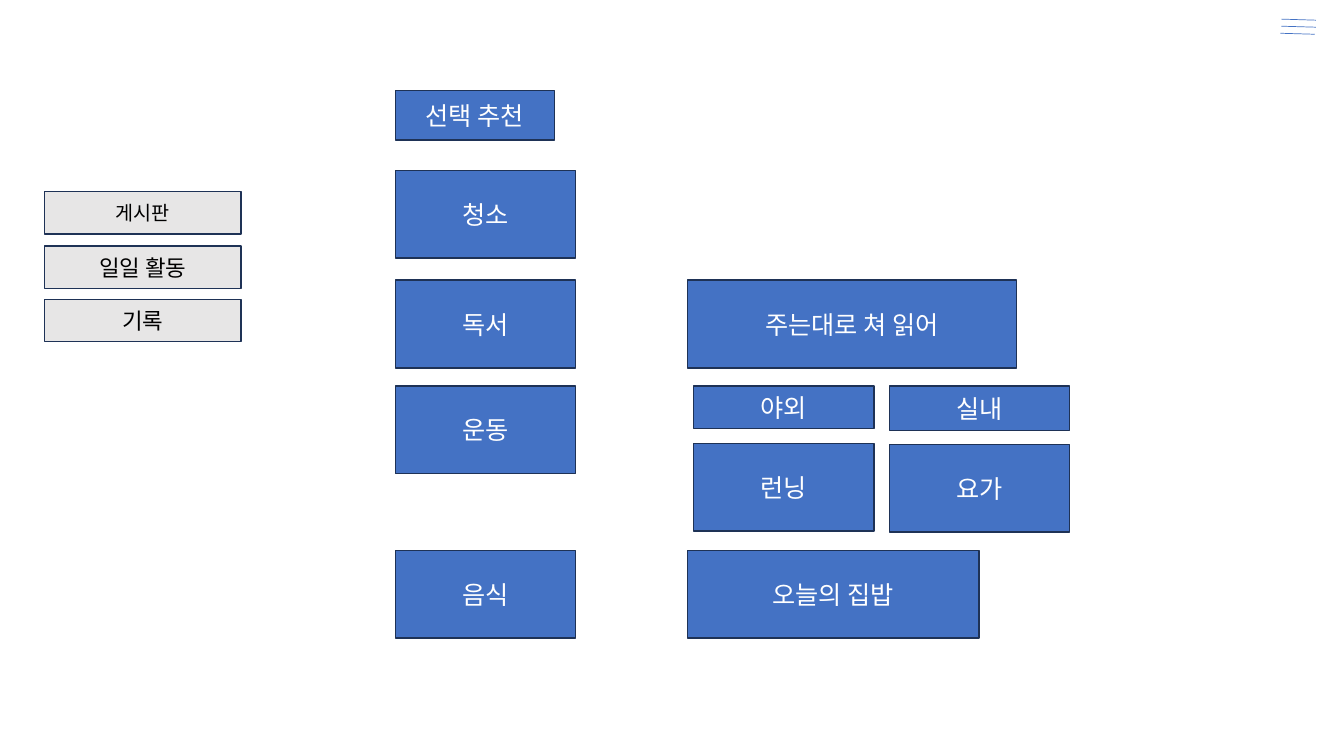
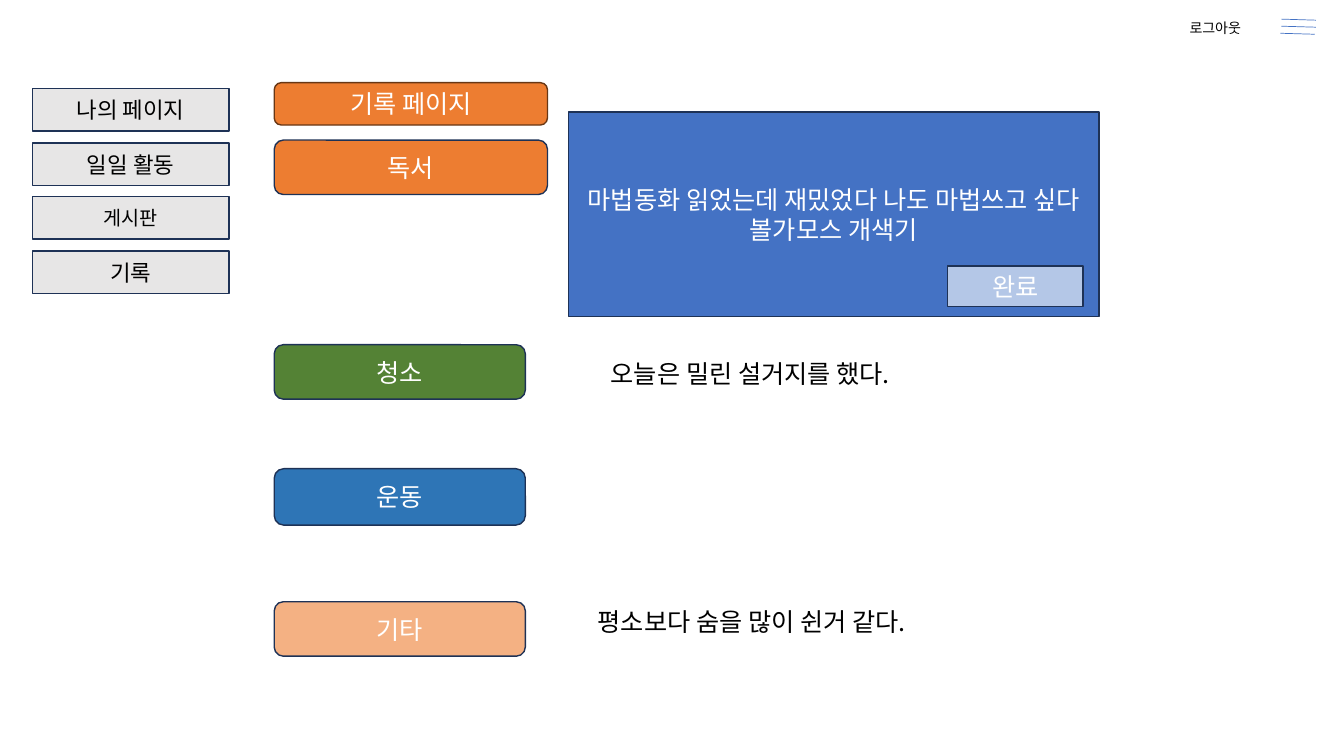
from lxml import etree
from pptx import Presentation
from pptx import util as u
from pptx.dml.color import RGBColor
from pptx.enum import shapes, text
from pptx.oxml.ns import qn

PX = 9144  # EMU per px, 100 px to the inch
FONT = "Noto Sans CJK KR"
WHITE = RGBColor(0xFF, 0xFF, 0xFF)
BLACK = RGBColor(0x00, 0x00, 0x00)
BLUE = RGBColor(0x44, 0x72, 0xC4)
NAVY = RGBColor(0x1E, 0x32, 0x56)
GREY = RGBColor(0xE7, 0xE6, 0xE6)
ORANGE = RGBColor(0xED, 0x7D, 0x31)
BROWN = RGBColor(0x68, 0x37, 0x15)
GREEN = RGBColor(0x54, 0x82, 0x35)
STEEL = RGBColor(0x2E, 0x75, 0xB6)
PEACH = RGBColor(0xF4, 0xB1, 0x83)
PALE_BLUE = RGBColor(0xB4, 0xC7, 0xE7)
RECT = shapes.MSO_SHAPE.RECTANGLE
ROUNDED = shapes.MSO_SHAPE.ROUNDED_RECTANGLE


def write(frame, words, size, color):
    run = frame.paragraphs[0].add_run()
    run.text = words
    run.font.size = u.Pt(size)
    run.font.color.rgb = color
    run.font.name = FONT
    etree.SubElement(run.font._element, qn("a:ea")).set("typeface", FONT)


def add_box(slide, words, box, fill=BLUE, border=NAVY, kind=RECT, size=18, color=WHITE):
    shape = slide.shapes.add_shape(kind, *[n * PX for n in box])
    shape.shadow.inherit = False
    shape.fill.solid()
    shape.fill.fore_color.rgb = fill
    shape.line.color.rgb = border
    shape.line.width = u.Pt(1)
    frame = shape.text_frame
    frame.word_wrap = True
    frame.vertical_anchor = text.MSO_ANCHOR.MIDDLE
    frame.paragraphs[0].alignment = text.PP_ALIGN.CENTER
    write(frame, words, size, color)


prs = Presentation()
prs.slide_width = u.Inches(13.33)
prs.slide_height = u.Inches(7.5)
choices = prs.slides.add_slide(prs.slide_layouts[6])
records = prs.slides.add_slide(prs.slide_layouts[6])

# Side menu and menu icon on both slides
menus = [
    (choices, 44, 190, ["게시판", "일일 활동", "기록"]),
    (records, 32, 88, ["나의 페이지", "일일 활동", "게시판", "기록"]),
]
for slide, left, top, entries in menus:
    for row, entry in enumerate(entries):
        add_box(slide, entry, (left, top + round(row * 53.6), 195, 42), GREY,
                size=14 if entry == "게시판" else 16, color=BLACK)
    for left, top in [(1271, 19), (1271, 26), (1270, 33)]:
        bar = slide.shapes.add_connector(
            shapes.MSO_CONNECTOR.STRAIGHT,
            left * PX, top * PX, (left + 34) * PX, (top + 1) * PX)
        bar.line.color.rgb = BLUE
        bar.line.width = u.Pt(0.5)
        etree.SubElement(bar._element.spPr, qn("a:effectLst"))

# Slide 1: categories
add_box(choices, "선택 추천", (392, 90, 158, 49))
for category, top in [("청소", 169), ("독서", 278), ("운동", 383), ("음식", 546)]:
    add_box(choices, category, (392, top, 179, 87))

# Slide 1: suggestions
add_box(choices, "주는대로 쳐 읽어", (682, 278, 326, 87))
add_box(choices, "오늘의 집밥", (682, 546, 289, 87))
for place, sport, left, height, top in [("야외", "런닝", 688, 42, 440),
                                        ("실내", "요가", 882, 44, 441)]:
    add_box(choices, place, (left, 383, 179, height))
    add_box(choices, sport, (left, top, 179, 87))

# Slide 2: record headings
headings = [
    ("기록 페이지", 82, 271, 42, ORANGE, BROWN),
    ("독서", 139, 271, 54, ORANGE, NAVY),
    ("청소", 342, 249, 54, GREEN, NAVY),
    ("운동", 465, 249, 56, STEEL, NAVY),
    ("기타", 597, 249, 54, PEACH, NAVY),
]
for heading, top, width, height, fill, border in headings:
    add_box(records, heading, (272, top, width, height), fill, border, ROUNDED)

# Slide 2: reading entry with its button
add_box(records, "마법동화 읽었는데 재밌었다 나도 마법쓰고 싶다 볼가모스 개색기",
        (564, 111, 526, 203))
add_box(records, "완료", (940, 264, 134, 40), PALE_BLUE)

# Slide 2: plain entries and logout
notes = [
    ("오늘은 밀린 설거지를 했다.", (596, 351, 330, 40), 18, False),
    ("평소보다 숨을 많이 쉰거 같다.", (583, 597, 381, 40), 18, False),
    ("로그아웃", (1170, 14, 83, 27), 10, True),
]
for words, box, size, wrap in notes:
    frame = records.shapes.add_textbox(*[n * PX for n in box]).text_frame
    frame.word_wrap = wrap
    frame.auto_size = text.MSO_AUTO_SIZE.SHAPE_TO_FIT_TEXT
    write(frame, words, size, BLACK)

prs.save("out.pptx")
